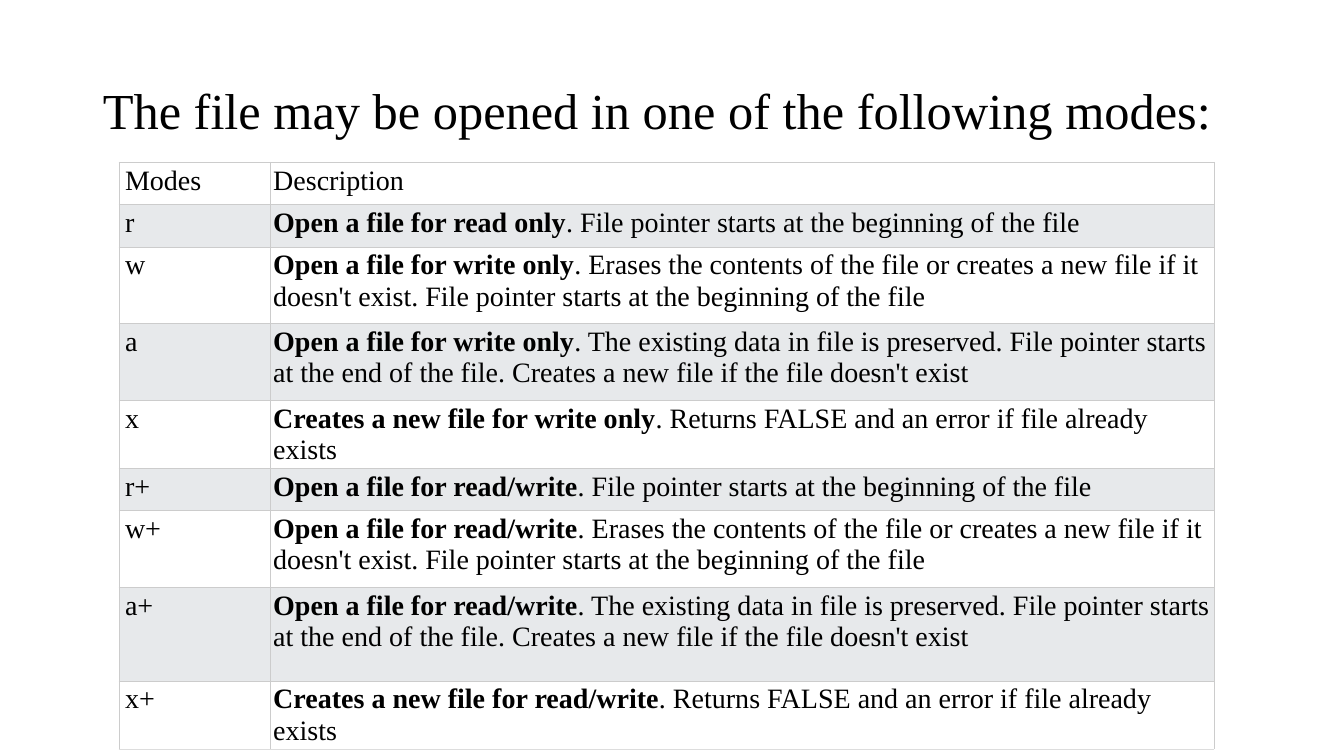
from lxml.etree import SubElement
from pptx import Presentation
from pptx.dml.color import RGBColor
from pptx.enum.text import MSO_ANCHOR, MSO_AUTO_SIZE, PP_ALIGN
from pptx.oxml.ns import qn
from pptx.util import Emu, Pt

SCALE = 9144
COLORS = {"text": "000000", "plain": "FFFFFF", "band": "E7E9EB",
          "rule": "CCCCCC", "foot": "DDDDDD"}

START = ". File pointer starts at the beginning of the file"
ERASE = (". Erases the contents of the file or creates a new file if it doesn't exist"
         + START)
KEEP = (". The existing data in file is preserved. File pointer starts at the end "
        "of the file. Creates a new file if the file doesn't exist")
FAIL = ". Returns FALSE and an error if file already exists"
WRITE = "Open a file for write only"
BOTH = "Open a file for read/write"

MODES = [
    (42, "Modes", "", "Description"),
    (42, "r", "Open a file for read only", START),
    (76, "w", WRITE, ERASE),
    (76, "a", WRITE, KEEP),
    (59, "x", "Creates a new file for write only", FAIL),
    (42, "r+", BOTH, START),
    (76, "w+", BOTH, ERASE),
    (93, "a+", BOTH, KEEP),
    (59, "x+", "Creates a new file for read/write", FAIL),
]


def px(size):
    return Emu(size * SCALE)


class Deck:
    font = "Times New Roman"

    def __init__(self, width, height):
        self.show = Presentation()
        self.show.slide_width = px(width)
        self.show.slide_height = px(height)
        self.slide = self.show.slides.add_slide(self.show.slide_layouts[5])

    def run(self, para, text, size, bold=False):
        run = para.add_run()
        run.text = text
        font = run.font
        font.name, font.size, font.bold = self.font, Pt(size), bold
        font.color.rgb = RGBColor.from_string(COLORS["text"])

    def title(self, text, left, top, width, height):
        shape = self.slide.shapes.title
        shape.left, shape.top = px(left), px(top)
        shape.width, shape.height = px(width), px(height)
        frame = shape.text_frame
        frame.auto_size = MSO_AUTO_SIZE.NONE
        frame.word_wrap = True
        frame.vertical_anchor = MSO_ANCHOR.MIDDLE
        para = frame.paragraphs[0]
        para.alignment = PP_ALIGN.LEFT
        para.line_spacing = 0.9
        self.run(para, text, 36)

    def border(self, cell, foot):
        props = cell._tc.get_or_add_tcPr()
        for side in ("lnL", "lnR", "lnT", "lnB"):
            line = SubElement(props, qn(f"a:{side}"), w=str(Pt(0.6)))
            fill = SubElement(line, qn("a:solidFill"))
            color = foot if side == "lnB" else "rule"
            SubElement(fill, qn("a:srgbClr"), val=COLORS[color])

    def cell(self, cell, parts, inset, fill, foot):
        self.border(cell, foot)
        cell.fill.solid()
        cell.fill.fore_color.rgb = RGBColor.from_string(COLORS[fill])
        cell.margin_left = px(inset)
        cell.margin_top = cell.margin_right = cell.margin_bottom = px(3)
        cell.vertical_anchor = MSO_ANCHOR.TOP
        for text, bold in parts:
            if text:
                self.run(cell.text_frame.paragraphs[0], text, 20, bold)

    def table(self, rows, left, top, widths):
        height = sum(row[0] for row in rows)
        table = self.slide.shapes.add_table(
            len(rows), len(widths), px(left), px(top),
            px(sum(widths)), px(height)).table
        for col, width in zip(table.columns, widths):
            col.width = px(width)
        for i, (tall, mode, lead, rest) in enumerate(rows):
            table.rows[i].height = px(tall)
            fill = "band" if i % 2 else "plain"
            foot = "foot" if i == len(rows) - 1 else "rule"
            self.cell(table.cell(i, 0), [(mode, False)], 6, fill, foot)
            self.cell(table.cell(i, 1), [(lead, True), (rest, False)], 3, fill, foot)


def main():
    deck = Deck(1333, 750)
    deck.title("The file may be opened in one of the following modes:",
               92, 40, 1150, 145)
    deck.table(MODES, 118, 161, [150, 936])
    deck.show.save("out.pptx")


if __name__ == "__main__":
    main()
